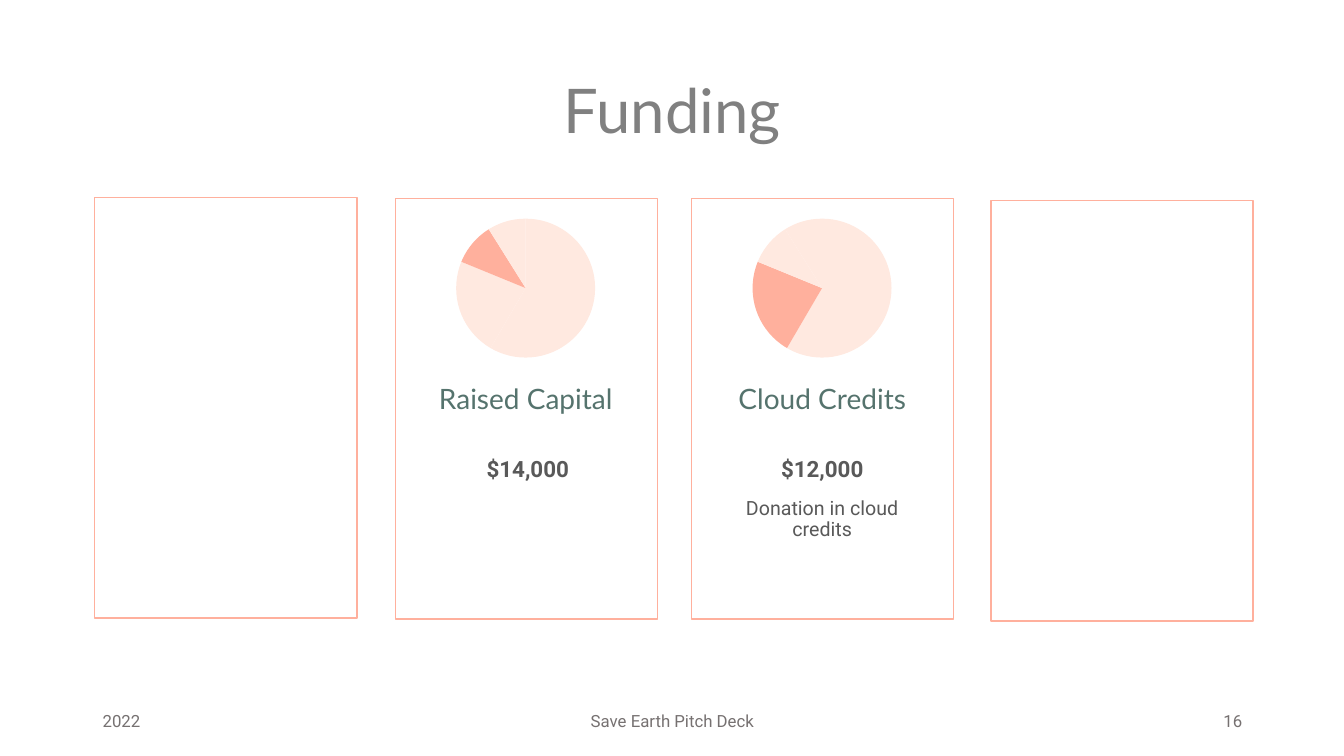
"""Build the Funding slide with its cards, pie charts and footer."""
from lxml import etree
from pptx import Presentation
from pptx.chart.data import CategoryChartData
from pptx.dml.color import RGBColor
from pptx.enum.chart import XL_CHART_TYPE
from pptx.enum.shapes import MSO_SHAPE
from pptx.enum.text import MSO_ANCHOR, PP_ALIGN
from pptx.oxml import parse_xml
from pptx.oxml.ns import nsdecls
from pptx.util import Inches, Pt

CORAL, BLUSH = "FFB09D", "FFE9E0"
GREEN, DARK, GRAY, FOOTER_GRAY = "55736D", "595959", "808080", "767171"

TITLE = "Funding"
CARDS = [(0.94, 1.96), (3.92, 1.97), (6.86, 1.97), (9.83, 1.99)]
CARD_SIZE = (2.6, 4.17)
SHARES = [59, 23, 10, 9]
FUNDS = [
    {"left": 4.22, "highlight": 2, "name": "Raised Capital", "name_left": 4.09,
     "amount": "$14,000", "amount_left": 4.11, "note": None},
    {"left": 7.16, "highlight": 1, "name": "Cloud Credits", "name_left": 7.03,
     "amount": "$12,000", "amount_left": 7.03, "note": "Donation in cloud credits"},
]
FOOTERS = [
    ("2022", 0.92, 3, PP_ALIGN.LEFT),
    ("Save Earth Pitch Deck", 4.42, 4.5, PP_ALIGN.CENTER),
    ("16", 9.42, 3, PP_ALIGN.RIGHT),
]
PIE_WIDTH, PIE_HEIGHT, PIE_DIAMETER = 1.99, 1.66, 1.38
LABEL_WIDTH = 2.25


def color(code):
    return RGBColor.from_string(code)


def write(frame, text, size, font, code, align=PP_ALIGN.CENTER,
          anchor=MSO_ANCHOR.TOP, spacing=0.9, bold=False):
    frame.word_wrap = True
    frame.vertical_anchor = anchor
    paragraph = frame.paragraphs[0]
    paragraph.alignment = align
    paragraph.line_spacing = spacing
    paragraph.space_before = Pt(0)
    run = paragraph.add_run()
    run.text = text
    run.font.size = Pt(size)
    run.font.name = font
    run.font.bold = bold
    run.font.color.rgb = color(code)


def add_label(slide, box, *args, **kwargs):
    label = slide.shapes.add_textbox(*map(Inches, box))
    write(label.text_frame, *args, **kwargs)


def add_card(slide, left, top):
    card = slide.shapes.add_shape(
        MSO_SHAPE.RECTANGLE, *map(Inches, (left, top, *CARD_SIZE)))
    card.shadow.inherit = False
    card.fill.background()
    card.line.color.rgb = color(CORAL)
    card.line.width = Pt(1)


def center_plot(chart):
    width, height = PIE_DIAMETER / PIE_WIDTH, PIE_DIAMETER / PIE_HEIGHT
    plot_area = chart.plots[0]._element.getparent()
    for layout in plot_area.findall("{*}layout"):
        plot_area.remove(layout)
    layout = parse_xml(f"<c:layout {nsdecls('c')}><c:manualLayout/></c:layout>")
    settings = [
        ("layoutTarget", "inner"), ("xMode", "edge"), ("yMode", "edge"),
        ("x", (1 - width) / 2), ("y", (1 - height) / 2), ("w", width), ("h", height),
    ]
    namespace = layout.nsmap["c"]
    for tag, value in settings:
        etree.SubElement(layout[0], f"{{{namespace}}}{tag}").set(
            "val", value if isinstance(value, str) else f"{value:.3f}")
    plot_area.insert(0, layout)


def add_pie(slide, left, highlight):
    shares = CategoryChartData()
    shares.categories = [str(number + 1) for number in range(len(SHARES))]
    shares.add_series("Series 1", SHARES)
    chart = slide.shapes.add_chart(
        XL_CHART_TYPE.PIE, *map(Inches, (left, 2.03, PIE_WIDTH, PIE_HEIGHT)), shares).chart
    chart.has_title = False
    chart.has_legend = False
    chart.font.size = Pt(10)
    chart.font.name = "Roboto"
    chart.font.color.rgb = color("000000")
    chart.plots[0].vary_by_categories = True
    for index in range(len(SHARES)):
        slice_format = chart.plots[0].series[0].points[index].format
        slice_format.fill.solid()
        slice_format.fill.fore_color.rgb = color(CORAL if index == highlight else BLUSH)
        slice_format.line.fill.background()
    center_plot(chart)


def main():
    deck = Presentation()
    deck.slide_width, deck.slide_height = Inches(13.33), Inches(7.5)
    slide = deck.slides.add_slide(deck.slide_layouts[5])

    for left, top in CARDS:
        add_card(slide, left, top)

    title = slide.shapes.title
    title.left, title.top, title.width, title.height = map(Inches, (0.92, 0.4, 11.5, 1.45))
    write(title.text_frame, TITLE, 44, "Lato", GRAY, anchor=MSO_ANCHOR.MIDDLE)

    for fund in FUNDS:
        add_pie(slide, fund["left"], fund["highlight"])
        add_label(slide, (fund["name_left"], 3.77, LABEL_WIDTH, 0.7),
                  fund["name"], 20, "Lato", GREEN)
        add_label(slide, (fund["amount_left"], 4.5, LABEL_WIDTH, 0.4),
                  fund["amount"], 16, "Roboto", DARK, bold=True)
        if fund["note"]:
            add_label(slide, (fund["name_left"], 4.9, LABEL_WIDTH, 1),
                      fund["note"], 14, "Roboto", DARK)

    for text, left, width, align in FOOTERS:
        add_label(slide, (left, 6.95, width, 0.4), text, 12, "Roboto", FOOTER_GRAY,
                  align=align, anchor=MSO_ANCHOR.MIDDLE, spacing=1.0)

    deck.save("out.pptx")


if __name__ == "__main__":
    main()
